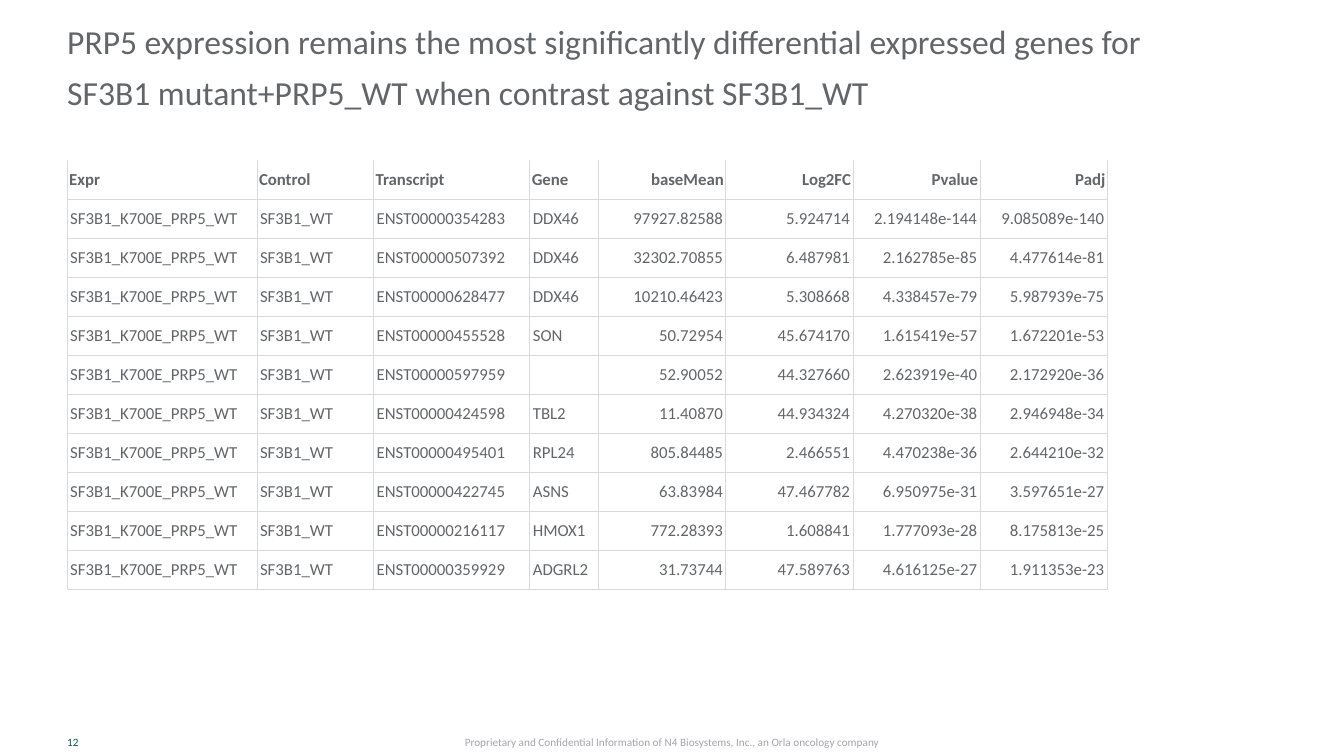
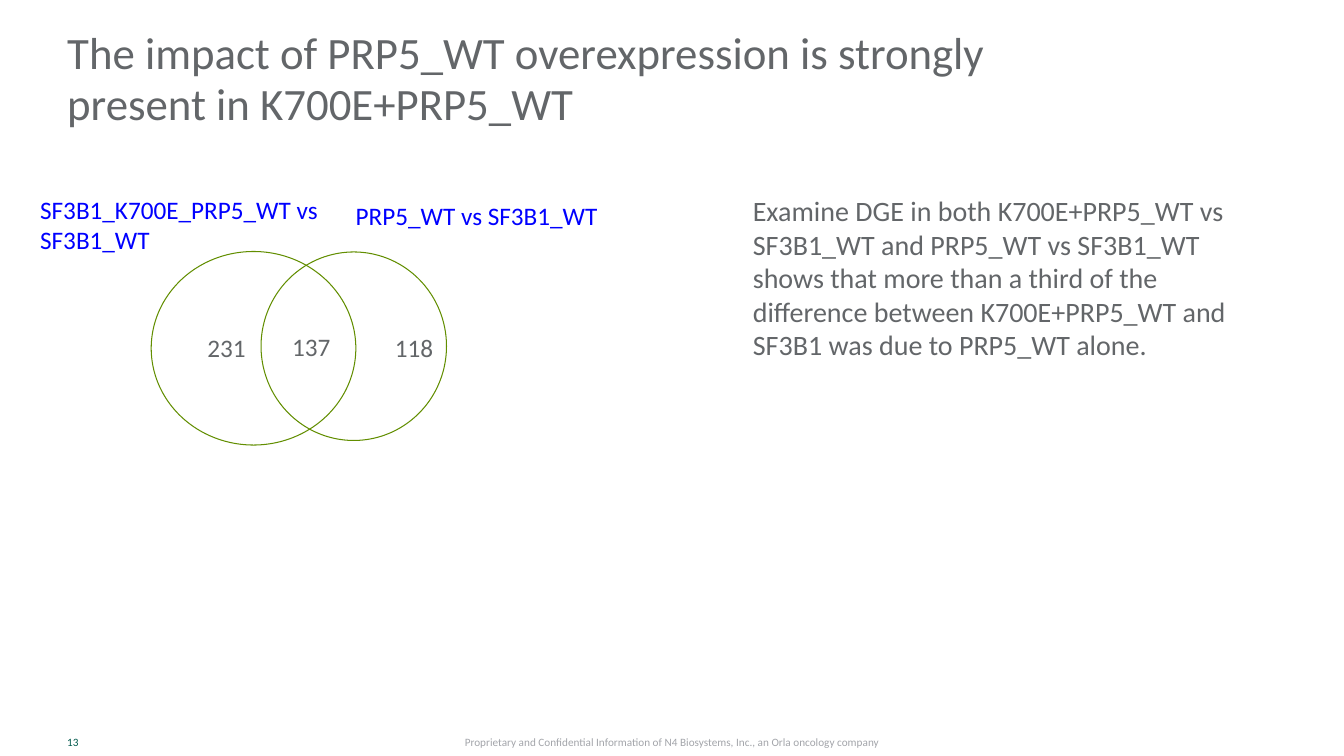
from dataclasses import dataclass

from lxml.etree import SubElement
from pptx import Presentation
from pptx.dml.color import RGBColor
from pptx.enum.shapes import MSO_SHAPE
from pptx.enum.text import MSO_ANCHOR, MSO_AUTO_SIZE, PP_ALIGN
from pptx.oxml.ns import qn
from pptx.util import Inches, Pt

TITLE_ONLY = 5
FOOTER = "Proprietary and Confidential Information of N4 Biosystems, Inc., an Orla oncology company"


@dataclass(frozen=True)
class Theme:
    font: str = "Calibri"
    # colours
    text: str = "636669"
    page: str = "00594C"
    footer: str = "A3A5AA"
    label: str = "0000FF"
    circle: str = "628E00"
    border: str = "D6DADC"
    background: str = "FFFFFF"
    # type sizes and line widths in points
    small_size: int = 8
    table_size: int = 12
    label_size: int = 18
    body_size: int = 20
    title_size: int = 32
    title_spacing: int = 36
    line_width: float = 0.75


def color(value):
    return RGBColor.from_string(value)


def write_text(frame, text, size, fill, font, bold=False, align=PP_ALIGN.LEFT,
               anchor=MSO_ANCHOR.TOP, wrap=True, spacing=None, side_inset=0.1):
    """Fill a text frame, one paragraph for each line of text."""
    frame.auto_size = MSO_AUTO_SIZE.NONE
    frame.word_wrap = wrap
    frame.vertical_anchor = anchor
    frame.margin_left = Inches(side_inset)
    for index, line in enumerate(text.split("\n")):
        paragraph = frame.add_paragraph() if index else frame.paragraphs[0]
        paragraph.alignment = align
        if spacing:
            paragraph.line_spacing = Pt(spacing)
        run = paragraph.add_run()
        run.text = line
        run.font.name = font
        run.font.size = Pt(size)
        run.font.bold = bold
        run.font.color.rgb = color(fill)


class Deck:
    """Holds the theme and the current slide; boxes are (column, row, columns, rows)."""

    columns, rows = 80, 45

    def __init__(self, theme):
        self.theme = theme
        self.presentation = Presentation()
        self.presentation.slide_width = Inches(13.33)
        self.presentation.slide_height = Inches(7.5)
        self.slide = None

    def across(self, count):
        return round(self.presentation.slide_width * count / self.columns)

    def down(self, count):
        return round(self.presentation.slide_height * count / self.rows)

    def place(self, box):
        left, top, width, height = box
        return self.across(left), self.down(top), self.across(width), self.down(height)

    def add_slide(self, title, number, box, size):
        theme = self.theme
        layout = self.presentation.slide_layouts[TITLE_ONLY]
        self.slide = self.presentation.slides.add_slide(layout)
        shape = self.slide.shapes.title
        shape.left, shape.top, shape.width, shape.height = self.place(box)
        write_text(shape.text_frame, title, size, theme.text, theme.font,
                   anchor=MSO_ANCHOR.BOTTOM, spacing=theme.title_spacing, side_inset=0)
        # page number and footer
        self.add_text(str(number), (4, 43.32, 4, 1.68), theme.small_size, theme.page,
                      anchor=MSO_ANCHOR.MIDDLE, side_inset=0)
        self.add_text(FOOTER, (25.44, 43.32, 29.16, 1.68), theme.small_size, theme.footer,
                      anchor=MSO_ANCHOR.MIDDLE, align=PP_ALIGN.CENTER)

    def add_text(self, text, box, size, fill, parent=None, **text_format):
        shapes = (parent or self.slide).shapes
        shape = shapes.add_textbox(*self.place(box))
        write_text(shape.text_frame, text, size, fill, self.theme.font, **text_format)

    def add_circle(self, box, parent):
        shape = parent.shapes.add_shape(MSO_SHAPE.OVAL, *self.place(box))
        shape.shadow.inherit = False
        shape.fill.background()
        shape.line.color.rgb = color(self.theme.circle)
        shape.line.width = Pt(self.theme.line_width)

    def add_borders(self, cell, is_header):
        properties = cell._tc.get_or_add_tcPr()
        for side in "LRTB":
            line = SubElement(properties, qn(f"a:ln{side}"), w=str(Pt(self.theme.line_width)))
            if is_header and side == "T":
                SubElement(line, qn("a:noFill"))
            else:
                fill = SubElement(line, qn("a:solidFill"))
                SubElement(fill, qn("a:srgbClr"), val=self.theme.border)

    def add_table(self, records, left, top, widths, row_height, first_number_column):
        theme = self.theme
        box = (left, top, sum(widths), row_height * len(records))
        frame = self.slide.shapes.add_table(len(records), len(widths), *self.place(box))
        table = frame.table
        table.first_row = table.horz_banding = False
        for column, width in zip(table.columns, widths):
            column.width = self.across(width)
        for row_index, record in enumerate(records):
            table.rows[row_index].height = self.down(row_height)
            is_header = row_index == 0
            inset = 0.02 if is_header else 0.03
            for column_index, value in enumerate(record):
                cell = table.cell(row_index, column_index)
                self.add_borders(cell, is_header)
                cell.fill.solid()
                cell.fill.fore_color.rgb = color(theme.background)
                cell.vertical_anchor = MSO_ANCHOR.MIDDLE
                cell.margin_left = cell.margin_right = Inches(inset)
                cell.margin_top = cell.margin_bottom = Inches(inset - 0.01)
                if not value:
                    continue
                paragraph = cell.text_frame.paragraphs[0]
                if column_index >= first_number_column:
                    paragraph.alignment = PP_ALIGN.RIGHT
                run = paragraph.add_run()
                run.text = value
                run.font.name = theme.font
                run.font.size = Pt(theme.table_size)
                run.font.bold = is_header
                run.font.color.rgb = color(theme.text)


HEADER = ("Expr", "Control", "Transcript", "Gene", "baseMean", "Log2FC", "Pvalue", "Padj")
CONTRAST = ("SF3B1_K700E_PRP5_WT", "SF3B1_WT")
GENES = [
    ("ENST00000354283", "DDX46", "97927.82588", "5.924714", "2.194148e-144", "9.085089e-140"),
    ("ENST00000507392", "DDX46", "32302.70855", "6.487981", "2.162785e-85", "4.477614e-81"),
    ("ENST00000628477", "DDX46", "10210.46423", "5.308668", "4.338457e-79", "5.987939e-75"),
    ("ENST00000455528", "SON", "50.72954", "45.674170", "1.615419e-57", "1.672201e-53"),
    ("ENST00000597959", "", "52.90052", "44.327660", "2.623919e-40", "2.172920e-36"),
    ("ENST00000424598", "TBL2", "11.40870", "44.934324", "4.270320e-38", "2.946948e-34"),
    ("ENST00000495401", "RPL24", "805.84485", "2.466551", "4.470238e-36", "2.644210e-32"),
    ("ENST00000422745", "ASNS", "63.83984", "47.467782", "6.950975e-31", "3.597651e-27"),
    ("ENST00000216117", "HMOX1", "772.28393", "1.608841", "1.777093e-28", "8.175813e-25"),
    ("ENST00000359929", "ADGRL2", "31.73744", "47.589763", "4.616125e-27", "1.911353e-23"),
]


def build_gene_table(deck):
    deck.add_slide(
        "PRP5 expression remains the most significantly differential expressed genes for "
        "SF3B1 mutant+PRP5_WT when contrast against SF3B1_WT",
        number=12, box=(4, 0, 64.74, 6.96), size=24)
    records = [HEADER] + [CONTRAST + gene for gene in GENES]
    deck.add_table(records, left=4, top=9.54, widths=[11.3, 6.94, 9.3, 4.1] + [7.57] * 4,
                   row_height=2.32, first_number_column=4)


def build_overlap(deck):
    theme = deck.theme
    deck.add_slide("The impact of PRP5_WT overexpression is strongly present in K700E+PRP5_WT",
                   number=13, box=(4, 1.02, 63.24, 6.96), size=theme.title_size)
    # names of the two sets
    for text, box in (("SF3B1_K700E_PRP5_WT vs\nSF3B1_WT", (1.8, 11.28, 18.24, 4.26)),
                      ("PRP5_WT vs SF3B1_WT", (20.58, 11.64, 15.72, 2.4))):
        deck.add_text(text, box, theme.label_size, theme.label, wrap=False)
    # overlapping circles with their counts
    venn = deck.slide.shapes.add_group_shape()
    for box in ((9, 14.97, 12.18, 11.52), (15.54, 15, 11.04, 11.22)):
        deck.add_circle(box, venn)
    for count, left, top in (("137", 16.8, 19.44), ("118", 22.92, 19.5), ("231", 11.76, 19.5)):
        deck.add_text(count, (left, top, 3.54, 2.4), theme.label_size, theme.text,
                      parent=venn, wrap=False)
    # finding
    deck.add_text(
        "Examine DGE in both K700E+PRP5_WT vs SF3B1_WT and PRP5_WT vs SF3B1_WT shows that "
        "more than a third of the difference between K700E+PRP5_WT and SF3B1 was due to "
        "PRP5_WT alone.",
        (44.22, 11.22, 31.92, 10.68), theme.body_size, theme.text)


def main():
    deck = Deck(Theme())
    build_gene_table(deck)
    build_overlap(deck)
    deck.presentation.save("out.pptx")


if __name__ == "__main__":
    main()
